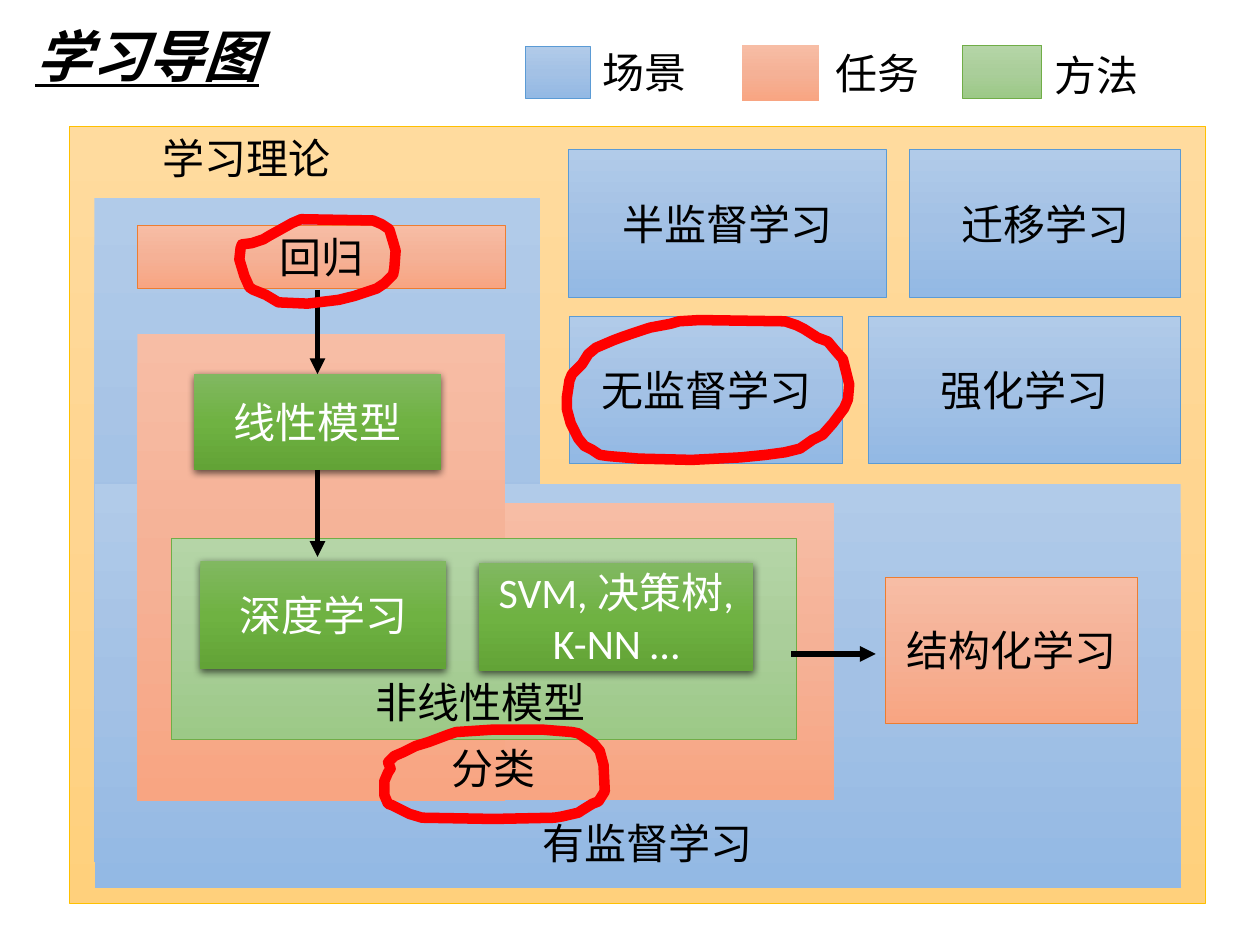
from lxml import etree
from pptx import Presentation
from pptx.dml.color import RGBColor
from pptx.enum import dml, shapes, text
from pptx.oxml import ns
from pptx.util import Inches, Pt

COLORS = {"black": "000000", "white": "FFFFFF", "mark": "FF0000"}
FILLS = {
    "theory": ("FFDB9E", "FFD590", "FFD07C"),
    "scenario": ("B1CBE9", "A3C1E5", "93B9E4"),
    "task": ("F7BDA5", "F5B196", "F8A582"),
    "method": ("B5D5A7", "AACE9A", "9CC987"),
    "model": ("81B861", "6FB242", "62A336"),
}
BORDERS = {"theory": "FFC000", "scenario": "5B9BD5", "task": "ED7D31", "method": "70AD47"}
REGRESSION_LOOP = [
    (2, 1.93), (2.09, 1.9), (2.14, 1.87), (2.23, 1.82), (2.32, 1.77), (2.39, 1.74),
    (2.96, 1.75), (3.03, 1.78), (3.09, 1.82), (3.12, 1.92), (3.14, 1.99), (3.13, 2.13),
    (3.12, 2.18), (3.05, 2.25), (2.99, 2.29), (2.81, 2.35), (2.69, 2.38), (2.44, 2.41),
    (2.21, 2.4), (2.11, 2.34), (2.01, 2.3), (1.98, 2.28), (1.94, 2.19), (1.9, 2.06),
    (1.91, 1.97), (1.92, 1.94),
]
UNSUPERVISED_LOOP = [
    (4.52, 3.02), (4.54, 2.97), (4.57, 2.94), (4.62, 2.89), (4.67, 2.81), (4.73, 2.76),
    (4.8, 2.73), (4.87, 2.7), (4.95, 2.67), (5.04, 2.64), (5.16, 2.6), (5.32, 2.57),
    (5.39, 2.55), (5.55, 2.54), (6.23, 2.55), (6.32, 2.58), (6.38, 2.61), (6.49, 2.68),
    (6.57, 2.71), (6.62, 2.77), (6.69, 2.85), (6.72, 2.97), (6.74, 3.05), (6.73, 3.17),
    (6.7, 3.24), (6.61, 3.36), (6.53, 3.45), (6.45, 3.49), (6.35, 3.56), (6.23, 3.59),
    (6.08, 3.61), (5.88, 3.63), (5.49, 3.65), (5.07, 3.64), (4.83, 3.62), (4.76, 3.61),
    (4.7, 3.57), (4.64, 3.54), (4.59, 3.48), (4.56, 3.42), (4.53, 3.36), (4.5, 3.25),
    (4.5, 3.15),
]
CLASSIFICATION_LOOP = [
    (3.08, 6.05), (3.13, 6), (3.2, 5.97), (3.3, 5.92), (3.4, 5.89), (3.48, 5.86),
    (3.56, 5.83), (3.62, 5.81), (3.92, 5.79), (4.3, 5.79), (4.54, 5.81), (4.59, 5.82),
    (4.71, 5.9), (4.76, 5.96), (4.79, 6.07), (4.8, 6.28), (4.75, 6.36), (4.7, 6.38),
    (4.62, 6.43), (4.59, 6.45), (4.46, 6.48), (4.4, 6.49), (3.92, 6.5), (3.35, 6.49),
    (3.25, 6.46), (3.19, 6.43), (3.11, 6.39), (3.08, 6.38), (3.05, 6.31), (3.05, 6.2),
    (3.08, 6.13), (3.1, 6.1),
]


def add_xml(parent, tag, **attributes):
    """Append a DrawingML element to a parent and return it."""
    return etree.SubElement(parent, ns.qn(f"a:{tag}"), attributes)


def write(frame, words, size=24, color="black", align=text.PP_ALIGN.CENTER,
          anchor=text.MSO_ANCHOR.TOP, wrap=True, grow=True, **emphasis):
    """Put formatted words into a text frame."""
    frame.word_wrap = wrap
    frame.vertical_anchor = anchor
    frame.auto_size = (text.MSO_AUTO_SIZE.SHAPE_TO_FIT_TEXT if grow
                       else text.MSO_AUTO_SIZE.NONE)
    para = frame.paragraphs[0]
    para.alignment = align
    span = para.add_run()
    span.text = words
    span.font.name = "Calibri"
    span.font.size = Pt(size)
    span.font.color.rgb = RGBColor.from_string(COLORS[color])
    for name, value in emphasis.items():
        setattr(span.font, name, value)


class Diagram:
    """Holds the style and the current slide."""

    def __init__(self, page):
        """Start drawing on a page."""
        self.page = page
        self.shapes = page.shapes

    def title(self, words, *area):
        """Place the slide title."""
        box = self.shapes.title
        box.left, box.top, box.width, box.height = map(Inches, area)
        write(box.text_frame, words, size=32, align=text.PP_ALIGN.LEFT, wrap=False,
              bold=True, italic=True, underline=True)

    def label(self, words, *area, **style):
        """Add a text box."""
        box = self.shapes.add_textbox(*map(Inches, area))
        write(box.text_frame, words, **style)

    def block(self, kind, *area, words="", border=True, **style):
        """Add a gradient rectangle, with a shadow when it is a model."""
        box = self.shapes.add_shape(shapes.MSO_SHAPE.RECTANGLE, *map(Inches, area))
        box.shadow.inherit = False
        box.fill.gradient()
        box.fill.gradient_angle = 270
        stops = next(box._element.iter(ns.qn("a:gsLst")))
        stops.clear()
        for place, color in zip((0, 50000, 100000), FILLS[kind]):
            add_xml(add_xml(stops, "gs", pos=str(place)), "srgbClr", val=color)
        if border and kind in BORDERS:
            box.line.color.rgb = RGBColor.from_string(BORDERS[kind])
            box.line.width = Pt(0.5)
        else:
            box.line.fill.background()
        if kind == "model":
            effects = next(box._element.iter(ns.qn("a:effectLst")))
            shadow = add_xml(effects, "outerShdw", blurRad=str(Pt(4.5)), dist=str(Pt(1.5)),
                             dir="5400000", algn="ctr", rotWithShape="0")
            add_xml(add_xml(shadow, "srgbClr", val=COLORS["black"]), "alpha", val="63000")
        if words:
            options = {"anchor": text.MSO_ANCHOR.MIDDLE, "grow": False,
                       "color": "white" if kind == "model" else "black"}
            write(box.text_frame, words, **(options | style))

    def arrow(self, *ends):
        """Add a straight arrow."""
        line = self.shapes.add_connector(shapes.MSO_CONNECTOR.STRAIGHT, *map(Inches, ends))
        line.line.color.rgb = RGBColor.from_string(COLORS["black"])
        line.line.width = Pt(3)
        properties = line._element.spPr
        add_xml(properties.find(ns.qn("a:ln")), "tailEnd", type="triangle")
        add_xml(properties, "effectLst")

    def loop(self, points):
        """Add a closed hand-drawn mark."""
        start, *others = [(Inches(x), Inches(y)) for x, y in points]
        builder = self.shapes.build_freeform(*start)
        builder.add_line_segments(others, close=True)
        mark = builder.convert_to_shape()
        mark.shadow.inherit = False
        mark.fill.background()
        mark.line.color.rgb = RGBColor.from_string(COLORS["mark"])
        mark.line.width = Pt(6)
        mark.line.dash_style = dml.MSO_LINE.SOLID
        add_xml(mark._element.spPr.find(ns.qn("a:ln")), "round")


def main():
    """Build the learning map and save it."""
    deck = Presentation()
    deck.slide_width, deck.slide_height = Inches(10), Inches(7.5)
    diagram = Diagram(deck.slides.add_slide(deck.slide_layouts[5]))
    diagram.title("学习导图", 0.18, 0.12, 2, 0.64)

    diagram.block("theory", 0.55, 1, 9.02, 6.17)
    diagram.block("scenario", 0.75, 1.57, 3.54, 5.27, border=False)
    diagram.block("scenario", 0.75, 3.84, 8.62, 3.21, border=False)
    diagram.block("task", 1.46, 3.99, 5.16, 2.36, border=False)
    diagram.label("有监督学习", 3.28, 6.44, 3.72, 0.5)
    diagram.block("task", 1.09, 1.79, 2.92, 0.5, words="回归",
                  anchor=text.MSO_ANCHOR.TOP, grow=True)
    diagram.block("task", 1.09, 2.65, 2.92, 3.71, border=False)
    diagram.block("model", 1.54, 2.97, 1.96, 0.76, words="线性模型")
    diagram.block("task", 7.03, 4.58, 2, 1.16, words="结构化学习")

    for words, left, top, width in (
        ("半监督学习", 4.51, 1.19, 2.53), ("迁移学习", 7.22, 1.19, 2.15),
        ("无监督学习", 4.52, 2.51, 2.17), ("强化学习", 6.89, 2.51, 2.48),
    ):
        diagram.block("scenario", left, top, width, 1.17, words=words)

    diagram.label("分类", 2.8, 5.84, 2.23, 0.5)
    diagram.block("method", 1.36, 4.27, 4.96, 1.6)
    diagram.block("model", 1.59, 4.45, 1.95, 0.86, words="深度学习")
    diagram.block("model", 3.8, 4.47, 2.18, 0.86, words="SVM, 决策树, K-NN …")
    diagram.label("非线性模型", 2.43, 5.32, 2.77, 0.5)

    for ends in ((2.52, 2.3, 2.52, 2.97), (2.52, 3.73, 2.52, 4.42), (6.28, 5.19, 6.95, 5.19)):
        diagram.arrow(*ends)

    for kind, words, swatch, place in (
        ("scenario", "场景", (4.17, 0.37, 0.52, 0.41), (4.68, 0.32, 1.42, 0.5)),
        ("task", "任务", (5.89, 0.36, 0.61, 0.44), (6.53, 0.33, 0.9, 0.5)),
        ("method", "方法", (7.64, 0.36, 0.63, 0.42), (8.27, 0.34, 1.42, 0.5)),
    ):
        diagram.block(kind, *swatch, border=kind != "task")
        diagram.label(words, *place, align=text.PP_ALIGN.LEFT)

    diagram.label("学习理论", 0.75, 1, 2.42, 0.5)
    for points in (UNSUPERVISED_LOOP, REGRESSION_LOOP, CLASSIFICATION_LOOP):
        diagram.loop(points)
    deck.save("out.pptx")


if __name__ == "__main__":
    main()
